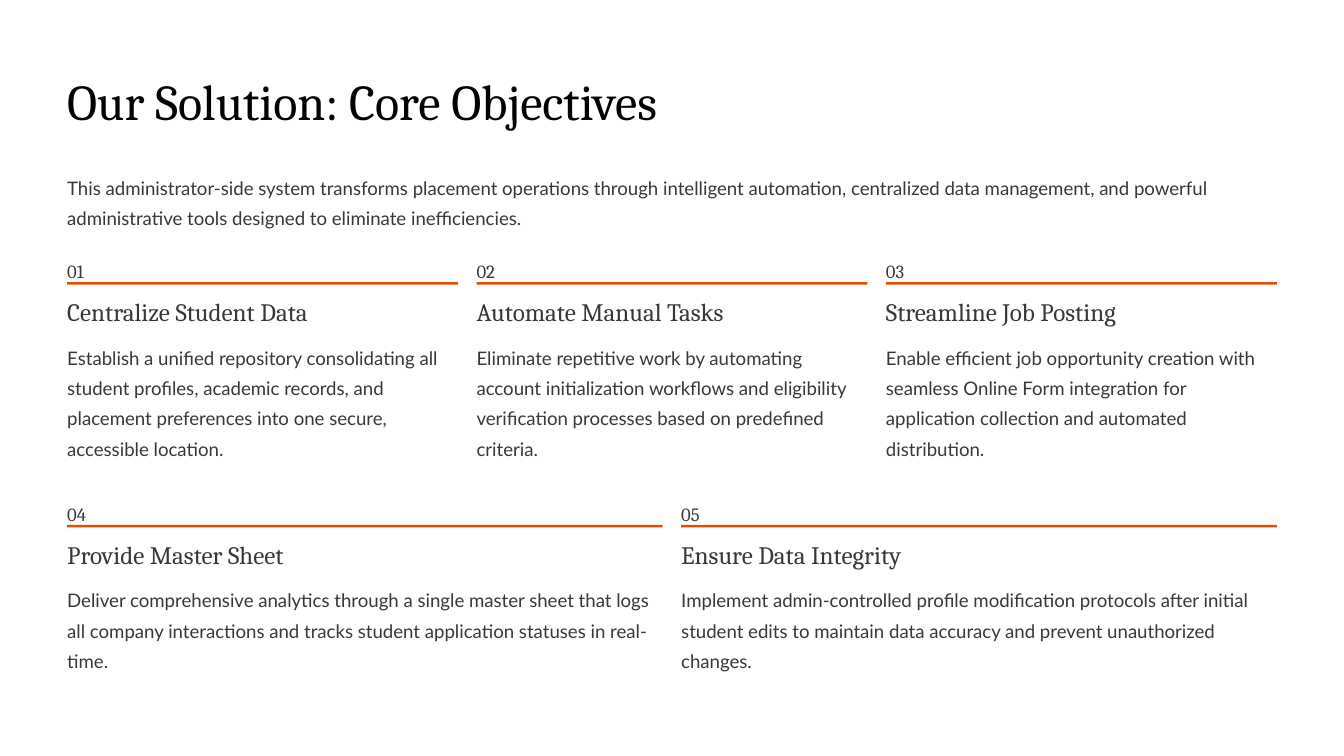
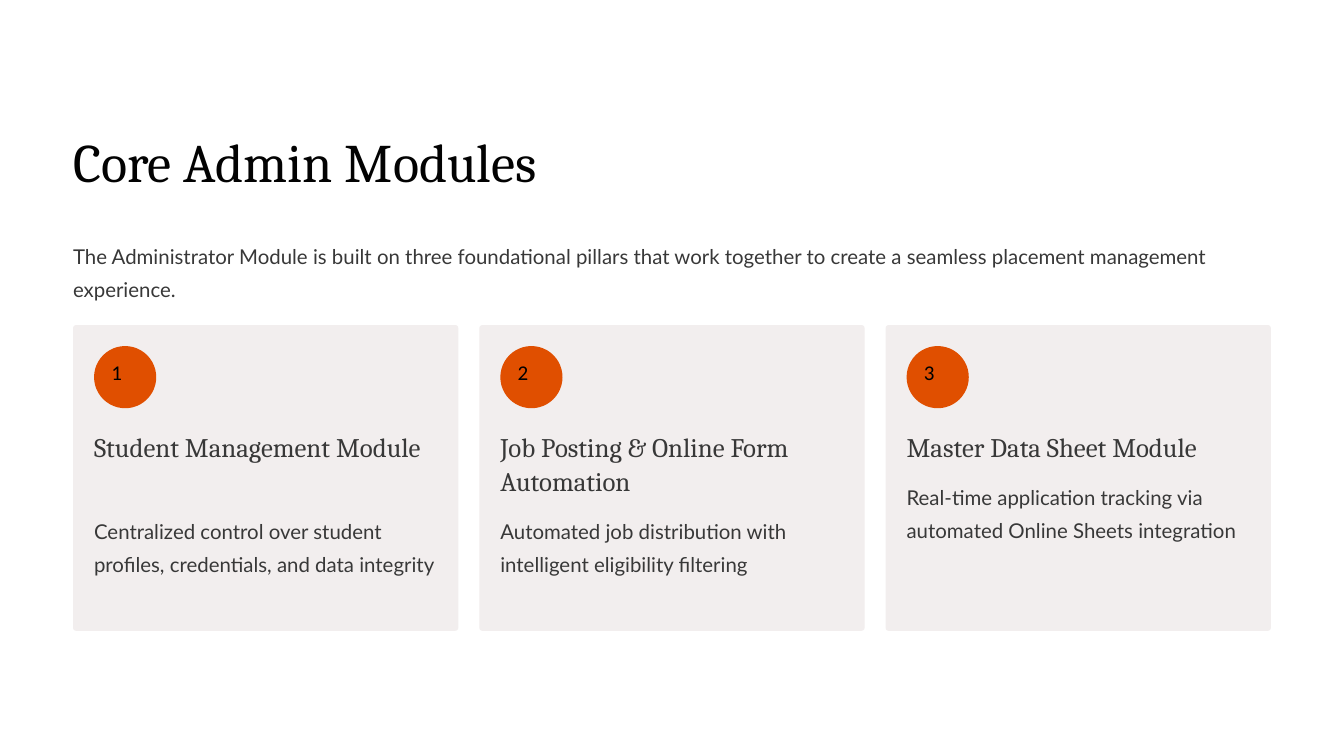
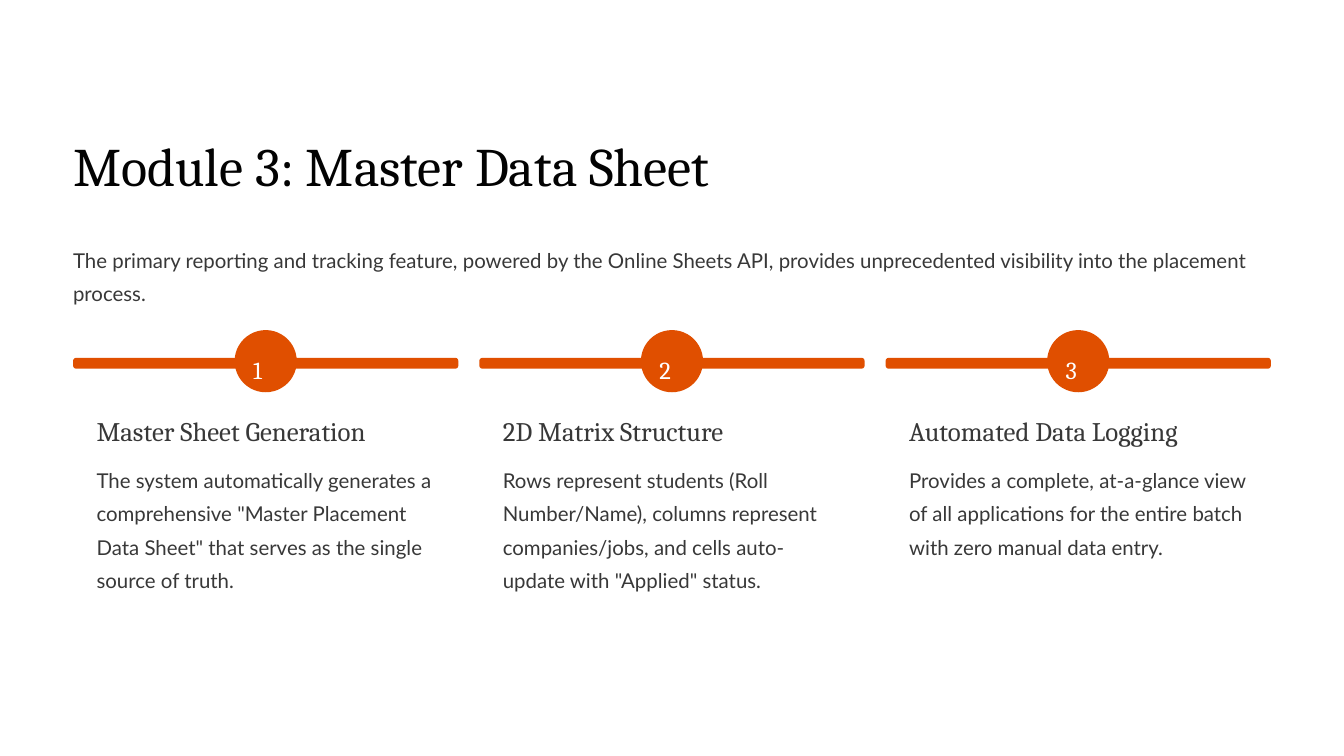
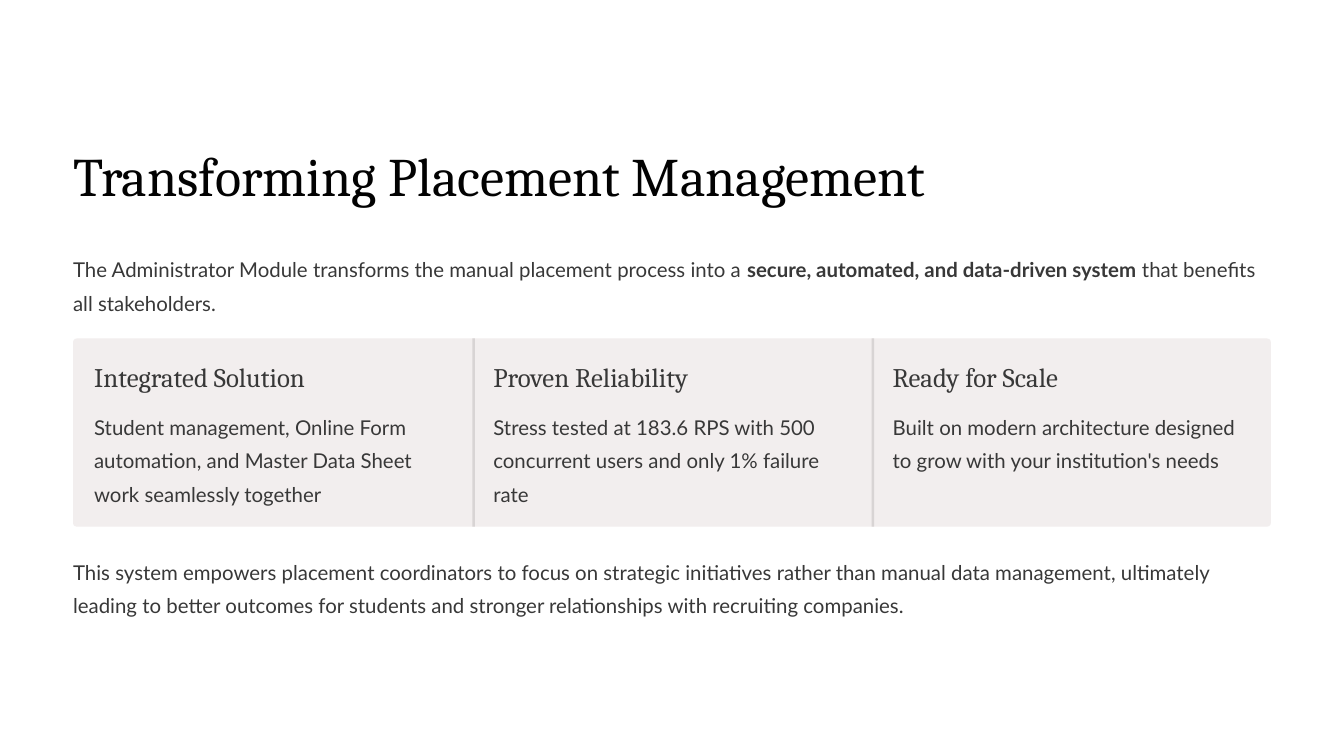
from pptx import Presentation
from pptx.dml.color import RGBColor
from pptx.enum import shapes, text
from pptx.util import Inches, Pt

# ---- Content: runs are (text, bold) pairs where emphasis is needed
OBJECTIVES = {
    "title": "Our Solution: Core Objectives",
    "intro": "This administrator-side system transforms placement operations through intelligent "
             "automation, centralized data management, and powerful administrative tools designed "
             "to eliminate inefficiencies.",
    "rows": [
        [("Centralize Student Data",
          "Establish a unified repository consolidating all student profiles, academic records, "
          "and placement preferences into one secure, accessible location."),
         ("Automate Manual Tasks",
          "Eliminate repetitive work by automating account initialization workflows and "
          "eligibility verification processes based on predefined criteria."),
         ("Streamline Job Posting",
          "Enable efficient job opportunity creation with seamless Online Form integration for "
          "application collection and automated distribution.")],
        [("Provide Master Sheet",
          "Deliver comprehensive analytics through a single master sheet that logs all company "
          "interactions and tracks student application statuses in real-time."),
         ("Ensure Data Integrity",
          "Implement admin-controlled profile modification protocols after initial student edits "
          "to maintain data accuracy and prevent unauthorized changes.")],
    ],
}
MODULES = {
    "title": "Core Admin Modules",
    "intro": "The Administrator Module is built on three foundational pillars that work together "
             "to create a seamless placement management experience.",
    # heading, body, lines reserved for the heading
    "cards": [
        ("Student Management Module",
         "Centralized control over student profiles, credentials, and data integrity", 2),
        ("Job Posting & Online Form Automation",
         "Automated job distribution with intelligent eligibility filtering", 2),
        ("Master Data Sheet Module",
         "Real-time application tracking via automated Online Sheets integration", 1),
    ],
}
MASTER_SHEET = {
    "title": "Module 3: Master Data Sheet",
    "intro": "The primary reporting and tracking feature, powered by the Online Sheets API, "
             "provides unprecedented visibility into the placement process.",
    "steps": [
        ("Master Sheet Generation",
         'The system automatically generates a comprehensive "Master Placement Data Sheet" that '
         "serves as the single source of truth."),
        ("2D Matrix Structure",
         "Rows represent students (Roll Number/Name), columns represent companies/jobs, and "
         'cells auto-update with "Applied" status.'),
        ("Automated Data Logging",
         "Provides a complete, at-a-glance view of all applications for the entire batch with "
         "zero manual data entry."),
    ],
}
CLOSING = {
    "title": "Transforming Placement Management",
    "intro": [("The Administrator Module transforms the manual placement process into a ", False),
              ("secure, automated, and data-driven system", True),
              (" that benefits all stakeholders.", False)],
    "panels": [
        ("Integrated Solution",
         "Student management, Online Form automation, and Master Data Sheet work seamlessly "
         "together"),
        ("Proven Reliability",
         "Stress tested at 183.6 RPS with 500 concurrent users and only 1% failure rate"),
        ("Ready for Scale",
         "Built on modern architecture designed to grow with your institution's needs"),
    ],
    "outro": "This system empowers placement coordinators to focus on strategic initiatives "
             "rather than manual data management, ultimately leading to better outcomes for "
             "students and stronger relationships with recruiting companies.",
}

# ---- Shared look
COLORS = {"title": "020202", "text": "383838", "accent": "E04F00", "panel": "F2EEEE",
          "divider": "D8D4D4", "white": "FFFFFF", "black": "000000"}
# font, size, line spacing, colour
STYLES = {
    "title": ("Cambria", 46.5, 58.5, "title"),
    "heading": ("Cambria", 23, 29, "text"),
    "body": ("Lato", 17.5, 28.5, "text"),
    "step": ("Cambria", 21, 34, "white"),
    "badge": ("Calibri", 18, None, "black"),
    "title small": ("Cambria", 43, 53.5, "title"),
    "heading small": ("Cambria", 21.5, 26.5, "text"),
    "body small": ("Lato", 16, 26, "text"),
    "number": ("Cambria", 16, 26, "text"),
}
SLIDE_W, SLIDE_H = 16, 9
MARGIN, GAP = 0.87, 0.25
DENSE_MARGIN, DENSE_GAP = 0.8, 0.22
FULL_W = SLIDE_W - 2 * MARGIN
PAD, CIRCLE = 0.25, 0.74
SHAPE = shapes.MSO_SHAPE

prs = Presentation()
prs.slide_width, prs.slide_height = Inches(SLIDE_W), Inches(SLIDE_H)


# ---- Helpers
def columns(count, margin=MARGIN, gap=GAP):
    """Left edges and common width of equal columns between the margins."""
    width = (SLIDE_W - 2 * margin - gap * (count - 1)) / count
    return [margin + i * (width + gap) for i in range(count)], width


def write(tf, content, style):
    font, size, spacing, color = STYLES[style]
    tf.word_wrap = True
    tf.vertical_anchor = text.MSO_ANCHOR.TOP
    p = tf.paragraphs[0]
    p.alignment = text.PP_ALIGN.LEFT
    if spacing:
        p.line_spacing = Pt(spacing)
    for words, bold in [(content, False)] if isinstance(content, str) else content:
        r = p.add_run()
        r.text = words
        r.font.name, r.font.size, r.font.bold = font, Pt(size), bold
        r.font.color.rgb = RGBColor.from_string(COLORS[color])


def add_text(s, content, style, x, y, w, h):
    tf = s.shapes.add_textbox(*map(Inches, (x, y, w, h))).text_frame
    tf.margin_left = tf.margin_right = tf.margin_top = tf.margin_bottom = 0
    write(tf, content, style)


def add_box(s, kind, color, x, y, w, h, radius=None):
    sp = s.shapes.add_shape(kind, *map(Inches, (x, y, w, h)))
    sp.shadow.inherit = False
    sp.fill.solid()
    sp.fill.fore_color.rgb = RGBColor.from_string(COLORS[color])
    sp.line.fill.background()
    if radius is not None:
        sp.adjustments[0] = radius
    return sp


def new_slide(data, title_y, margin=MARGIN, size="", intro_dy=1.31):
    s = prs.slides.add_slide(prs.slide_layouts[6])
    width = SLIDE_W - 2 * margin
    add_text(s, data["title"], "title" + size, margin, title_y, width, 0.81)
    add_text(s, data["intro"], "body" + size, margin, title_y + intro_dy, width, 0.79)
    return s


# ---- Objectives: numbered columns under accent rules
s = new_slide(OBJECTIVES, 0.81, DENSE_MARGIN, " small", 1.2)
number = 0
for row, items in enumerate(OBJECTIVES["rows"]):
    y = 3 + row * 2.89
    lefts, w = columns(len(items), DENSE_MARGIN, DENSE_GAP)
    for x, (heading, body) in zip(lefts, items):
        number += 1
        add_text(s, f"{number:02}", "number", x, y, 0.5, 0.28)
        add_box(s, SHAPE.RECTANGLE, "accent", x, y + 0.36, w, 0.03)
        add_text(s, heading, "heading small", x, y + 0.52, w, 0.37)
        add_text(s, body, "body small", x, y + 1.03, w, 1.46)

# ---- Modules: cards with round badges
s = new_slide(MODULES, 1.49)
lefts, w = columns(3)
for i, (x, (heading, body, lines)) in enumerate(zip(lefts, MODULES["cards"]), 1):
    add_box(s, SHAPE.ROUNDED_RECTANGLE, "panel", x, 3.87, w, 3.64, 0.01)
    badge = add_box(s, SHAPE.OVAL, "accent", x + PAD, 4.12, CIRCLE, CIRCLE)
    write(badge.text_frame, str(i), "badge")
    add_text(s, heading, "heading", x + PAD, 5.11, w - 2 * PAD, 0.4 * lines)
    add_text(s, body, "body", x + PAD, 5.27 + 0.4 * lines, w - 2 * PAD, 1.19)

# ---- Master sheet: steps on accent bars
s = new_slide(MASTER_SHEET, 1.54)
inset = 0.28
for i, (x, (heading, body)) in enumerate(zip(lefts, MASTER_SHEET["steps"]), 1):
    circle_x = x + (w - CIRCLE) / 2
    add_box(s, SHAPE.ROUNDED_RECTANGLE, "accent", x, 4.26, w, 0.13, 0.28)
    add_box(s, SHAPE.OVAL, "accent", circle_x, 3.93, CIRCLE, CIRCLE)
    add_text(s, str(i), "step", circle_x + 0.22, 4.11, 0.3, 0.37)
    add_text(s, heading, "heading", x + inset, 4.92, w - 2 * inset, 0.41)
    add_text(s, body, "body", x + inset, 5.47, w - 2 * inset, 1.98)

# ---- Closing: one panel split by dividers
s = new_slide(CLOSING, 1.65)
panel_y, panel_h = 4.03, 2.24
add_box(s, SHAPE.ROUNDED_RECTANGLE, "panel", MARGIN, panel_y, FULL_W, panel_h, 0.02)
lefts, w = columns(3, gap=0)
for i, (x, (heading, body)) in enumerate(zip(lefts, CLOSING["panels"])):
    if i:
        add_box(s, SHAPE.RECTANGLE, "divider", x, panel_y, 0.03, panel_h)
    add_text(s, heading, "heading", x + PAD, panel_y + PAD, w - 2 * PAD, 0.41)
    add_text(s, body, "body", x + PAD, panel_y + 0.81, w - 2 * PAD, 1.19)
add_text(s, CLOSING["outro"], "body", MARGIN, 6.56, FULL_W, 0.79)

prs.save("out.pptx")
